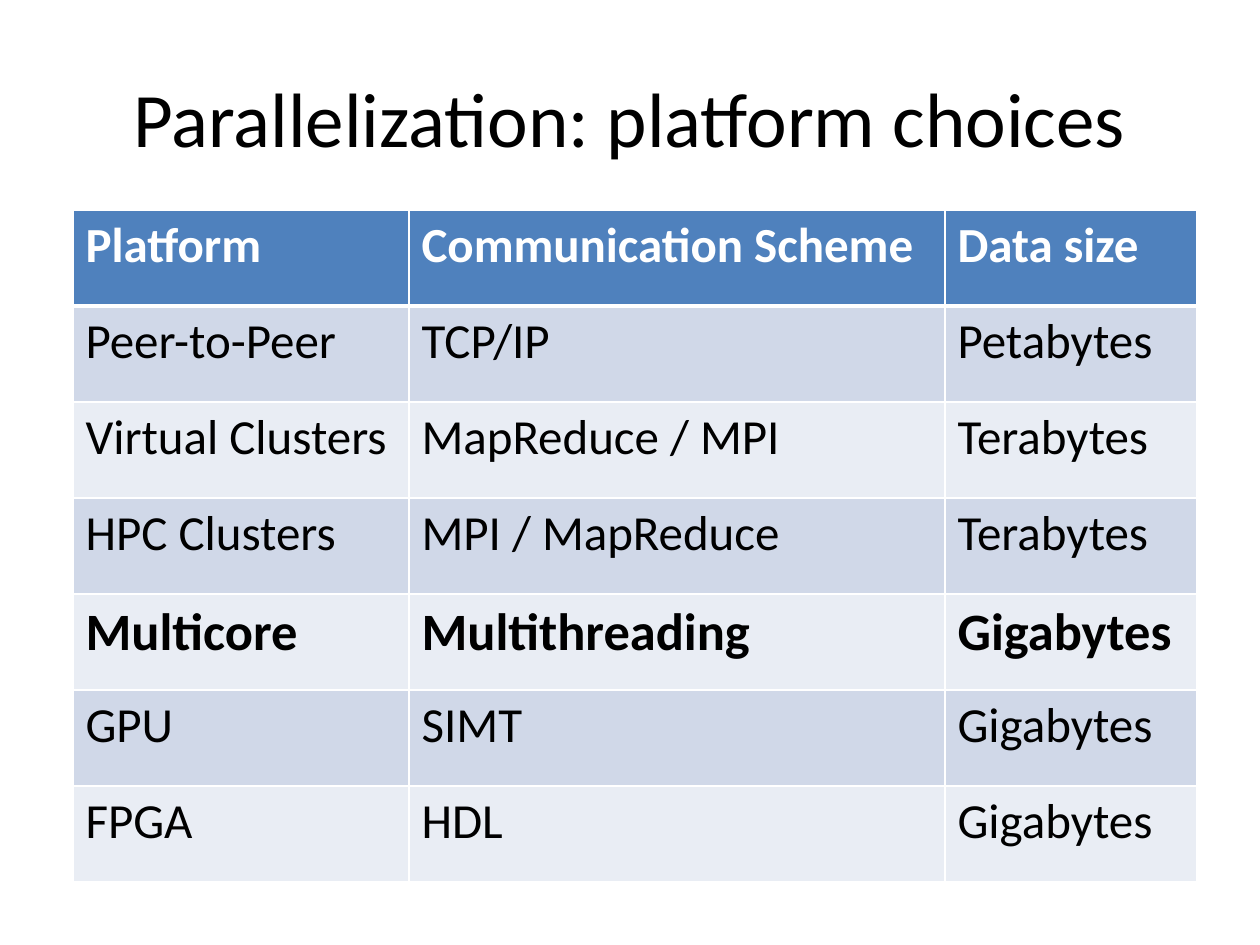
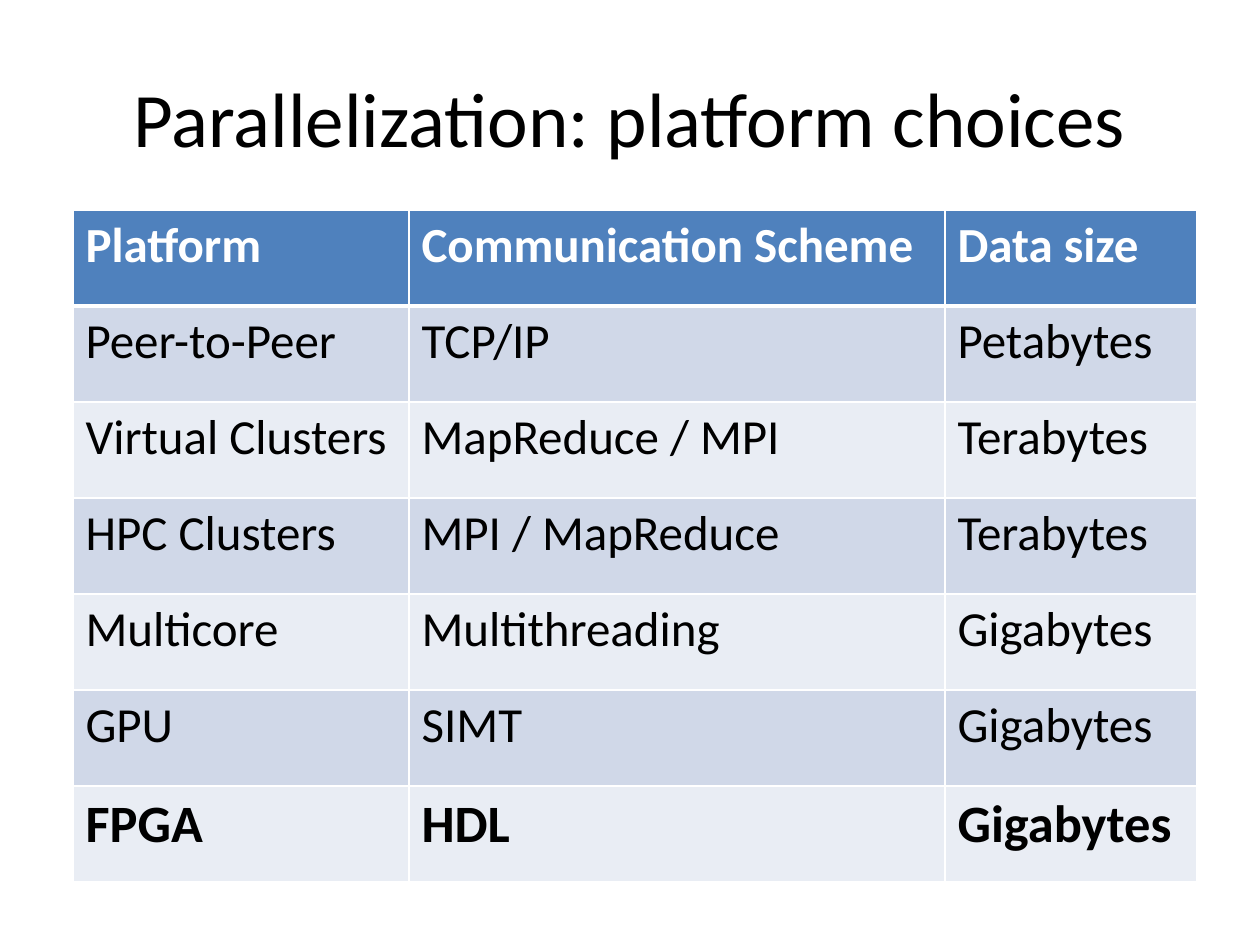
import lxml.etree
import pptx
import pptx.dml.color
import pptx.enum.text
import pptx.oxml.ns
import pptx.util

PX_PER_INCH = 126
FONT = "Calibri"
BLACK = pptx.dml.color.RGBColor(0x00, 0x00, 0x00)
WHITE = pptx.dml.color.RGBColor(0xFF, 0xFF, 0xFF)
HEADER_BLUE = pptx.dml.color.RGBColor(0x4F, 0x81, 0xBD)
BAND_DARK = pptx.dml.color.RGBColor(0xD0, 0xD8, 0xE8)
BAND_LIGHT = pptx.dml.color.RGBColor(0xE9, 0xED, 0xF4)

TITLE = "Parallelization: platform choices"
PLATFORMS = [
    ("Platform", "Communication Scheme", "Data size"),
    ("Peer-to-Peer", "TCP/IP", "Petabytes"),
    ("Virtual Clusters", "MapReduce / MPI", "Terabytes"),
    ("HPC Clusters", "MPI / MapReduce", "Terabytes"),
    ("Multicore", "Multithreading", "Gigabytes"),
    ("GPU", "SIMT", "Gigabytes"),
    ("FPGA", "HDL", "Gigabytes"),
]
HIGHLIGHTS = ["Multicore", "FPGA"]
COLUMN_WIDTHS = [336, 536, 252]
ROW_HEIGHT = 96


def px(length):
    return pptx.util.Emu(round(length * 914400 / PX_PER_INCH))


def add_run(paragraph, text, size, color, bold=False):
    run = paragraph.add_run()
    run.text = text
    run.font.name = FONT
    run.font.size = pptx.util.Pt(size)
    run.font.bold = bold
    run.font.color.rgb = color


def add_title(slide, text):
    title = slide.shapes.add_textbox(px(63), px(38), px(1134), px(157))
    frame = title.text_frame
    frame.word_wrap = True
    frame.vertical_anchor = pptx.enum.text.MSO_ANCHOR.MIDDLE
    heading = frame.paragraphs[0]
    heading.alignment = pptx.enum.text.PP_ALIGN.CENTER
    add_run(heading, text, 44, BLACK)


def add_borders(cell, top, bottom):
    properties = cell._tc.get_or_add_tcPr()
    for side, points in (("L", 1), ("R", 1), ("T", top), ("B", bottom)):
        border = lxml.etree.SubElement(
            properties, pptx.oxml.ns.qn(f"a:ln{side}"), w=str(pptx.util.Pt(points))
        )
        line_fill = lxml.etree.SubElement(border, pptx.oxml.ns.qn("a:solidFill"))
        lxml.etree.SubElement(line_fill, pptx.oxml.ns.qn("a:srgbClr"), val=str(WHITE))


def fill_cell(cell, text, row, highlighted):
    add_borders(cell, top=3 if row == 1 else 1, bottom=3 if row == 0 else 1)
    cell.fill.solid()
    if row == 0:
        cell.fill.fore_color.rgb = HEADER_BLUE
    else:
        cell.fill.fore_color.rgb = BAND_DARK if row % 2 else BAND_LIGHT
    add_run(
        cell.text_frame.paragraphs[0],
        text,
        size=30 if highlighted else 28,
        color=WHITE if row == 0 else BLACK,
        bold=row == 0 or highlighted,
    )


def add_platform_table(slide, highlight):
    table = slide.shapes.add_table(
        len(PLATFORMS), len(COLUMN_WIDTHS), px(73), px(210),
        px(sum(COLUMN_WIDTHS)), px(ROW_HEIGHT * len(PLATFORMS)),
    ).table
    for column, width in zip(table.columns, COLUMN_WIDTHS):
        column.width = px(width)
    for row, entries in enumerate(PLATFORMS):
        table.rows[row].height = px(ROW_HEIGHT)
        for column, text in enumerate(entries):
            fill_cell(table.cell(row, column), text, row, entries[0] == highlight)


def main():
    presentation = pptx.Presentation()
    presentation.slide_width = px(1260)
    presentation.slide_height = px(945)
    for highlight in HIGHLIGHTS:
        slide = presentation.slides.add_slide(presentation.slide_layouts[6])
        add_title(slide, TITLE)
        add_platform_table(slide, highlight)
    presentation.save("out.pptx")


if __name__ == "__main__":
    main()
